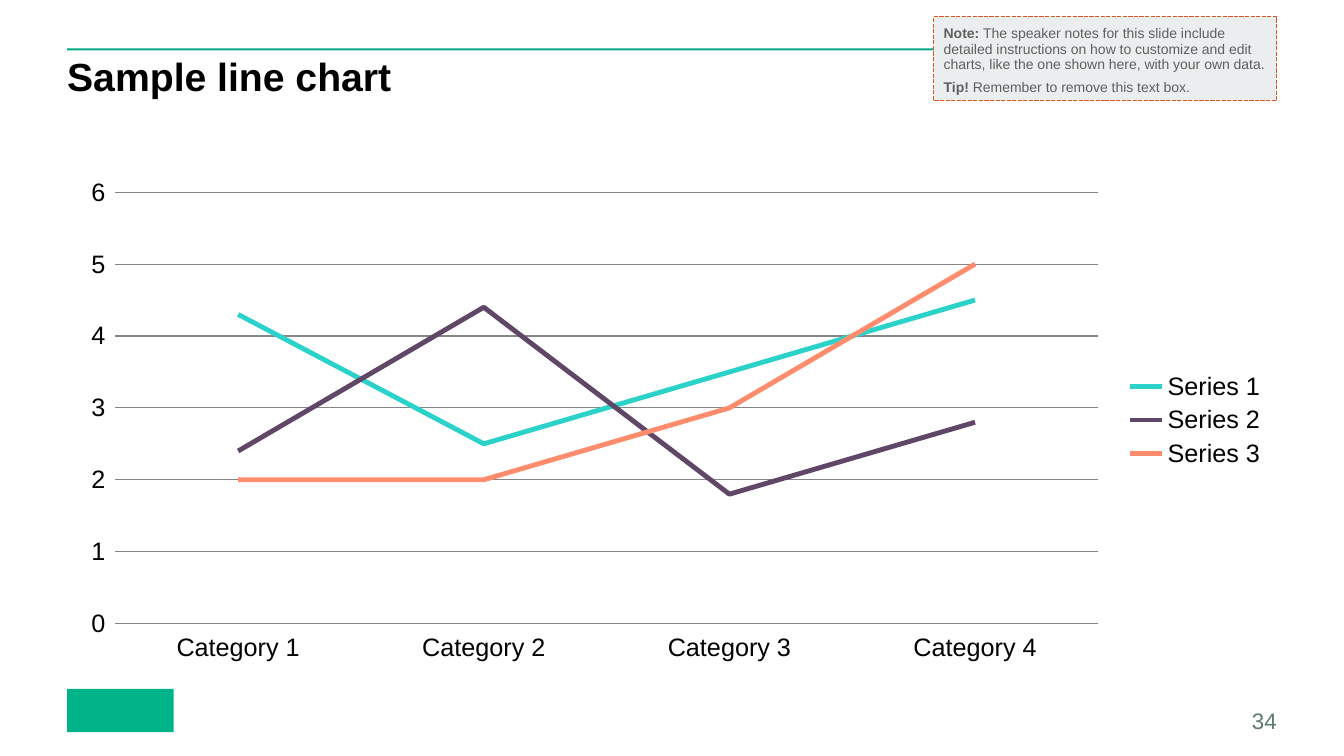
import pptx
import pptx.chart.data
import pptx.dml.color
import pptx.enum.chart
import pptx.enum.dml
import pptx.enum.shapes
import pptx.enum.text
import pptx.util

Pt = pptx.util.Pt
RECTANGLE = pptx.enum.shapes.MSO_SHAPE.RECTANGLE
ALIGN = pptx.enum.text.PP_ALIGN
ANCHOR = pptx.enum.text.MSO_ANCHOR
FONT = "Arial"

CATEGORIES = ["Category 1", "Category 2", "Category 3", "Category 4"]
SERIES = [
    ("Series 1", "2AD2C9", [4.3, 2.5, 3.5, 4.5]),
    ("Series 2", "614767", [2.4, 4.4, 1.8, 2.8]),
    ("Series 3", "FF8D6D", [2, 2, 3, 5]),
]
NOTE = [
    ("Note: ", "The speaker notes for this slide include detailed instructions on how to "
               "customize and edit charts, like the one shown here, with your own data."),
    ("Tip! ", "Remember to remove this text box."),
]


def color(hex_value):
    return pptx.dml.color.RGBColor.from_string(hex_value)


def apply(target, values):
    for name, value in values.items():
        setattr(target, name, value)


def style_font(font, size, hex_value, bold=False):
    apply(font, {"name": FONT, "size": Pt(size), "bold": bold})
    font.color.rgb = color(hex_value)


def set_frame(frame, margin=0, anchor=ANCHOR.TOP):
    sides = ("left", "top", "right", "bottom")
    apply(frame, {f"margin_{side}": Pt(margin) for side in sides})
    apply(frame, {"word_wrap": True, "vertical_anchor": anchor})


def add_run(paragraph, text, size, hex_value, bold=False):
    run = paragraph.add_run()
    run.text = text
    style_font(run.font, size, hex_value, bold)


def add_rectangle(slide, box, fill):
    shape = slide.shapes.add_shape(RECTANGLE, *map(Pt, box))
    shape.shadow.inherit = False
    shape.fill.solid()
    shape.fill.fore_color.rgb = color(fill)
    shape.line.fill.background()
    return shape


def add_label(slide, box, text, size, hex_value, bold=False, anchor=ANCHOR.TOP, **layout):
    frame = slide.shapes.add_textbox(*map(Pt, box)).text_frame
    set_frame(frame, anchor=anchor)
    paragraph = frame.paragraphs[0]
    apply(paragraph, layout)
    add_run(paragraph, text, size, hex_value, bold)


def add_header(slide, left, top, width):
    add_rectangle(slide, (left, top, width, 1.5), "00A982")
    add_label(slide, (left, top + 6.5, width, 67), "Sample line chart", 28, "000000",
              bold=True, line_spacing=0.9)


def add_line_chart(slide, box):
    data = pptx.chart.data.CategoryChartData()
    data.categories = CATEGORIES
    for name, _, values in SERIES:
        data.add_series(name, values)
    chart = slide.shapes.add_chart(
        pptx.enum.chart.XL_CHART_TYPE.LINE, *map(Pt, box), data).chart
    style_font(chart.font, 18, "000000")
    apply(chart, {"has_title": False, "has_legend": True})
    apply(chart.legend, {"position": pptx.enum.chart.XL_LEGEND_POSITION.RIGHT,
                         "include_in_layout": False})
    for axis in (chart.category_axis, chart.value_axis):
        axis.format.line.fill.background()
    apply(chart.value_axis, {"minimum_scale": 0, "maximum_scale": 6, "major_unit": 1,
                             "has_major_gridlines": True})
    grid = chart.value_axis.major_gridlines.format.line
    grid.color.rgb = color("868686")
    grid.width = Pt(0.75)
    chart.plots[0].vary_by_categories = False
    for series, (_, hex_value, _) in zip(chart.plots[0].series, SERIES):
        series.smooth = False
        series.marker.style = pptx.enum.chart.XL_MARKER_STYLE.NONE
        series.format.line.color.rgb = color(hex_value)
        series.format.line.width = Pt(3.5)


def add_note(slide, box):
    shape = add_rectangle(slide, box, "EAEEEF")
    shape.line.color.rgb = color("D9541E")
    apply(shape.line, {"width": Pt(1),
                       "dash_style": pptx.enum.dml.MSO_LINE_DASH_STYLE.SQUARE_DOT})
    frame = shape.text_frame
    set_frame(frame, margin=7.2)
    for index, (lead, text) in enumerate(NOTE):
        paragraph = frame.add_paragraph() if index else frame.paragraphs[0]
        apply(paragraph, {"alignment": ALIGN.LEFT, "line_spacing": 0.9,
                          "space_before": Pt(6)})
        add_run(paragraph, lead, 10, "5F5F5F", bold=True)
        add_run(paragraph, text, 10, "5F5F5F")


def add_footer(slide, left, top, width):
    """Place the brand block on the left and the page number on the right."""
    add_rectangle(slide, (left, top, 76, 31), "00B388")
    add_label(slide, (left + width - 42, top + 14, 42, 18), "34", 16, "5F7A76",
              anchor=ANCHOR.BOTTOM, alignment=ALIGN.RIGHT)


def main():
    presentation = pptx.Presentation()
    apply(presentation, {"slide_width": Pt(960), "slide_height": Pt(540)})
    slide = presentation.slides.add_slide(presentation.slide_layouts[6])
    margin, width = 48, 864
    add_header(slide, margin, 34.5, width)
    add_line_chart(slide, (margin, 120, width, 360))
    add_footer(slide, margin, 492, width)
    add_note(slide, (margin + width - 245, 12, 245, 60))
    presentation.save("out.pptx")


if __name__ == "__main__":
    main()
